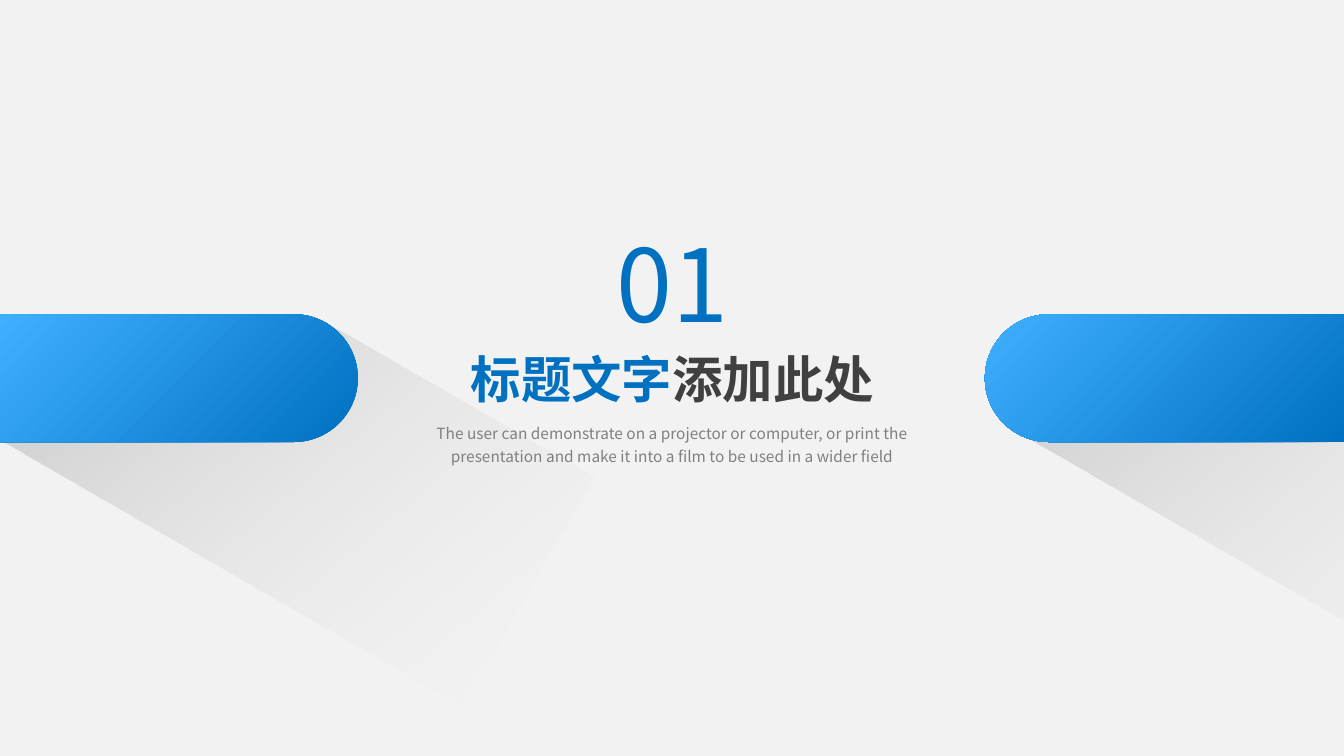
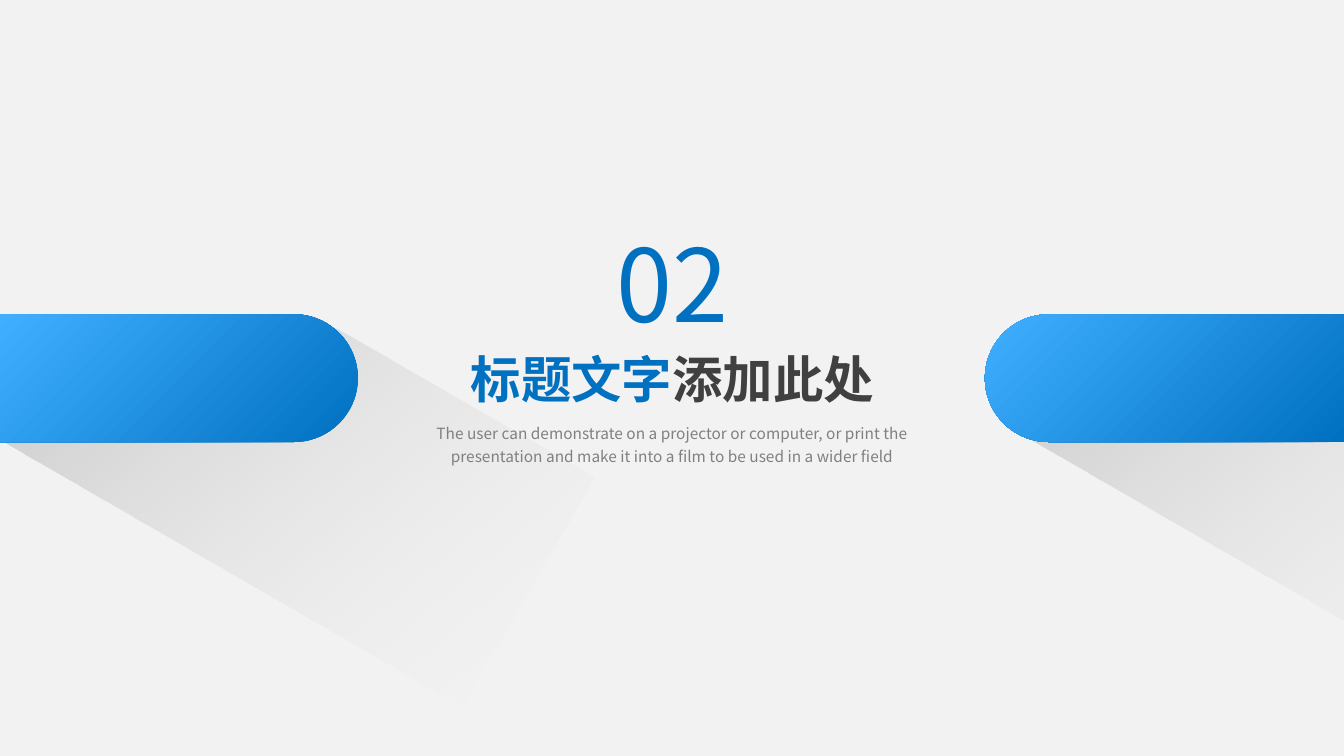
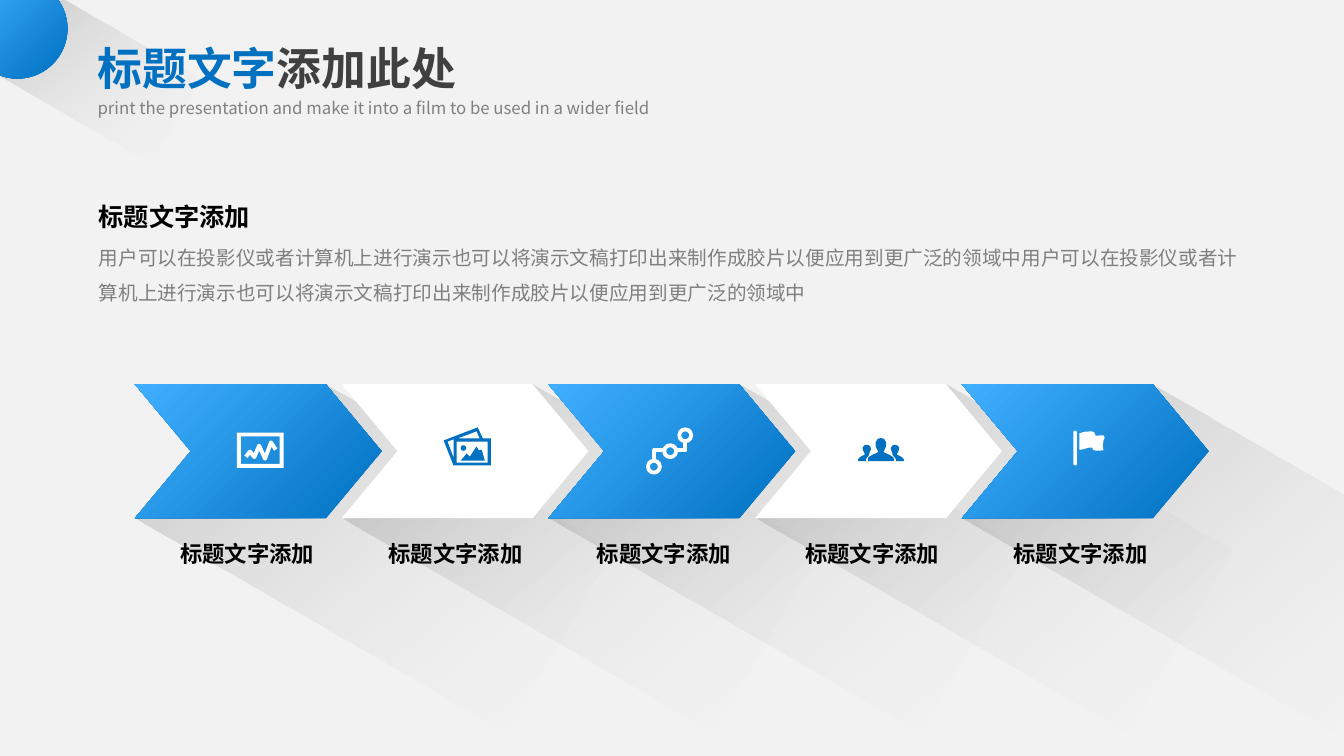
from math import cos, pi, sin

from lxml.etree import SubElement
from pptx import Presentation
from pptx.dml.color import RGBColor
from pptx.enum.shapes import MSO_SHAPE
from pptx.enum.text import MSO_AUTO_SIZE, PP_ALIGN
from pptx.oxml.ns import qn
from pptx.util import Cm, Pt

BLUE = RGBColor(0x00, 0x70, 0xC0)
SKY = RGBColor(0x40, 0xAF, 0xFF)
PALE = RGBColor(0xF2, 0xF2, 0xF2)
WHITE = RGBColor(0xFF, 0xFF, 0xFF)
BLACK = RGBColor(0x00, 0x00, 0x00)
DARK = RGBColor(0x40, 0x40, 0x40)
GRAY = RGBColor(0x80, 0x80, 0x80)
MID = RGBColor(0x7F, 0x7F, 0x7F)
FONT = "Noto Sans CJK SC"
GLOSS = "gloss"
WIDE, HIGH = 33.87, 19.05
TITLE = [("标题文字", BLUE), ("添加此处", DARK)]
LABEL = [("标题文字添加", BLACK)]


def rect(x, y, w, h):
    return [(x, y), (x + w, y), (x + w, y + h), (x, y + h)]


def arc(x, y, r, start=0, sweep=2 * pi, steps=36):
    turns = [start + sweep * i / steps for i in range(steps + 1)]
    return [(x + r * cos(t), y + r * sin(t)) for t in turns]


class Deck:
    def __init__(self):
        self.prs = Presentation()
        self.prs.slide_width, self.prs.slide_height = Cm(WIDE), Cm(HIGH)

    def page(self):
        self.slide = self.prs.slides.add_slide(self.prs.slide_layouts[6])
        fill = self.slide.background.fill
        fill.solid()
        fill.fore_color.rgb = PALE
        self.shapes = self.slide.shapes
        self.move(0, 0)

    def move(self, x, y):
        """Set the point from which later positions are measured."""
        self.left, self.top = x, y

    def spot(self, x, y):
        return Cm(self.left + x), Cm(self.top + y)

    def blend(self, shape, first, last, angle):
        shape.fill.gradient()
        shape.fill.gradient_angle = angle
        for stop, color, place in zip(shape.fill.gradient_stops, (first, last), (0, 1)):
            stop.color.rgb = color
            stop.position = place

    def paint(self, shape, color):
        shape.shadow.inherit = False
        shape.line.fill.background()
        if color == GLOSS:
            self.blend(shape, BLUE, SKY, 135)
        else:
            shape.fill.solid()
            shape.fill.fore_color.rgb = color
        return shape

    def preset(self, kind, x, y, w, h, color, adj=None):
        shape = self.shapes.add_shape(kind, *self.spot(x, y), Cm(w), Cm(h))
        if adj is not None:
            shape.adjustments[0] = adj
        return self.paint(shape, color)

    def trace(self, parts, close=True):
        pen = self.shapes.build_freeform(*self.spot(*parts[0][0]))
        for i, part in enumerate(parts):
            spots = [self.spot(*point) for point in part]
            if i:
                pen.move_to(*spots[0])
            pen.add_line_segments(spots[1:], close=close)
        return pen.convert_to_shape()

    def free(self, color, *parts):
        """Fill one outline; inner parts become holes."""
        return self.paint(self.trace(parts), color)

    def stroke(self, color, width, points):
        shape = self.trace([points], close=False)
        shape.shadow.inherit = False
        shape.fill.background()
        shape.line.color.rgb = color
        shape.line.width = Cm(width)
        SubElement(shape._element.spPr.find(qn("a:ln")), qn("a:round"))

    def shade(self, x, y, w, h, cut):
        """Draw a long fading shadow, its top edge starting at cut."""
        shape = self.free(PALE, [(x, y + h), (x + cut, y), (x + w, y), (x + w, y + h)])
        shape.rotation = 30
        self.blend(shape, BLACK, PALE, 340)
        colors = shape._element.spPr.iter(qn("a:srgbClr"))
        for color, alpha in zip(list(colors), (20000, 0)):
            SubElement(color, qn("a:alpha")).set("val", str(alpha))

    def label(self, runs, x, y, w, h, size, bold=False, align=PP_ALIGN.LEFT,
              gap=1.0, wrap=True):
        frame = self.shapes.add_textbox(*self.spot(x, y), Cm(w), Cm(h)).text_frame
        frame.word_wrap = wrap
        frame.auto_size = MSO_AUTO_SIZE.SHAPE_TO_FIT_TEXT
        para = frame.paragraphs[0]
        para.alignment = align
        para.line_spacing = gap
        for text, color in runs:
            run = para.add_run()
            run.text = text
            font = run.font
            font.size, font.bold, font.name = Pt(size), bold, FONT
            font.color.rgb = color
            SubElement(run._r.get_or_add_rPr(), qn("a:ea")).set("typeface", FONT)


def chart(deck, color):
    deck.free(color, rect(2.57, 1.22, 1.18, 0.89), rect(2.67, 1.32, 0.98, 0.69))
    deck.stroke(color, 0.1, [(2.8, 1.83), (2.9, 1.7), (3.01, 1.84), (3.13, 1.55),
                             (3.28, 1.88), (3.43, 1.47), (3.55, 1.65)])


def photos(deck, color):
    deck.free(color,
              [(3.56, 1.37), (3.43, 1.09), (2.57, 1.42), (2.82, 2.05),
               (3.76, 2.05), (3.76, 1.37)],
              [(3.48, 1.37), (2.92, 1.37), (3.4, 1.19)],
              [(2.67, 1.45), (2.82, 1.39), (2.82, 1.85)],
              rect(2.9, 1.45, 0.78, 0.53))
    deck.free(color, [(3.53, 1.65), (3.46, 1.67), (3.4, 1.57), (3.23, 1.83),
                      (3.15, 1.75), (3, 1.93), (3.61, 1.93)])
    deck.preset(MSO_SHAPE.OVAL, 3, 1.54, 0.14, 0.14, color)


def nodes(deck, color):
    for x, y in [(3.25, 1.09), (2.87, 1.49), (2.46, 1.88)]:
        deck.preset(MSO_SHAPE.DONUT, x, y, 0.4, 0.4, color, 0.25)
    deck.stroke(color, 0.1, [(3.45, 1.46), (3.45, 1.67), (3.24, 1.67)])
    deck.stroke(color, 0.1, [(2.9, 1.67), (2.66, 1.67), (2.66, 1.9)])


def people(deck, color):
    mid, base = 3.17, 1.94
    half = [(0, 0.58), (0.08, 0.56), (0.13, 0.48), (0.13, 0.38), (0.1, 0.3),
            (0.06, 0.23), (0.23, 0.15), (0.31, 0.1), (0.33, 0.05), (0.33, 0)]
    side = [(0.38, 0), (0.38, 0.05), (0.3, 0.15), (0.28, 0.23), (0.25, 0.3),
            (0.26, 0.35), (0.3, 0.4), (0.36, 0.41), (0.41, 0.4), (0.46, 0.35),
            (0.46, 0.3), (0.43, 0.23), (0.4, 0.17), (0.53, 0.1), (0.58, 0.04),
            (0.58, 0)]

    def place(points, sign):
        return [(mid + sign * x, base - y) for x, y in points]

    deck.free(color, place(half, 1) + place(half[::-1], -1))
    for sign in (-1, 1):
        deck.free(color, place(side, sign))


def flag(deck, color):
    deck.free(color, [(3.57, 1.29), (3.37, 1.3), (3.34, 1.22), (3.28, 1.19),
                      (3.1, 1.2), (2.96, 1.24), (2.96, 1.65), (3.02, 1.65),
                      (3.2, 1.6), (3.29, 1.6), (3.3, 1.65), (3.38, 1.68),
                      (3.57, 1.67), (3.55, 1.55), (3.57, 1.42), (3.6, 1.35)])
    deck.preset(MSO_SHAPE.ROUNDED_RECTANGLE, 2.81, 1.17, 0.09, 0.88, color, 0.5)


def section(deck, number):
    top, tall = 7.92, 3.22
    r = tall / 2
    deck.page()
    deck.shade(0.84, 8.23, 13.36, 6.68, 5.87)
    deck.shade(26.37, 8.03, 13.36, 6.63, 5.59)
    deck.free(GLOSS, [(0, top)] + arc(9.02 - r, top + r, r, -pi / 2, pi)
              + [(0, top + tall)])
    deck.free(GLOSS, [(WIDE, top + tall)] + arc(24.82 + r, top + r, r, pi / 2, pi)
              + [(WIDE, top)])
    mid = PP_ALIGN.CENTER
    deck.label(TITLE, 11.56, 8.66, 10.77, 1.8, 36, bold=True, align=mid, wrap=False)
    deck.label([("The user can demonstrate on a projector or computer, or print the "
                 "presentation and make it into a film to be used in a wider field",
                 GRAY)], 10.08, 10.44, 13.72, 1.37, 11, align=mid, gap=1.25)
    deck.label([(number, BLUE)], 15.14, 5.46, 3.61, 3.33, 72, align=mid, wrap=False)


def process(deck):
    icons = [chart, photos, nodes, people, flag]
    lefts = [3.4 + 5.21 * i for i in range(len(icons))]
    top = 9.68
    deck.page()
    for left in reversed(lefts):
        deck.shade(left + 0.66, 10.8, 10.77, 5.33, 2.39)
    deck.shade(0.13, 0.64, 4.62, 2.49, 0.1)
    deck.preset(MSO_SHAPE.OVAL, -0.81, -0.53, 2.51, 2.51, GLOSS)
    deck.label(TITLE, 2.21, 0.91, 9.63, 1.63, 32, bold=True, wrap=False)
    deck.label([("print the presentation and make it into a film to be used in a "
                 "wider field", GRAY)], 2.21, 2.21, 15.98, 0.84, 12, gap=1.25)
    for i, (left, icon) in enumerate(zip(lefts, icons)):
        back, front = (WHITE, BLUE) if i % 2 else (GLOSS, WHITE)
        deck.move(left, top)
        deck.preset(MSO_SHAPE.CHEVRON, 0, 0, 6.22, 3.38, back, 0.417)
        icon(deck, front)
    deck.move(0, 0)
    for i in range(len(icons)):
        deck.label(LABEL, 3.12 + 5.25 * i, 13.34, 6.22, 1.02, 16, bold=True,
                   align=PP_ALIGN.CENTER, gap=1.2)
    story = "用户可以在投影仪或者计算机上进行演示也可以将演示文稿打印出来制作成胶片以便应用到更广泛的领域中"
    deck.label([(story * 2, MID)], 2.24, 5.77, 29.54, 1.96, 14, gap=1.5)
    deck.label(LABEL, 2.24, 4.8, 6.22, 1.09, 18, bold=True, gap=1.2)


def main():
    deck = Deck()
    for number in ("01", "02"):
        section(deck, number)
    process(deck)
    deck.prs.save("out.pptx")


if __name__ == "__main__":
    main()
